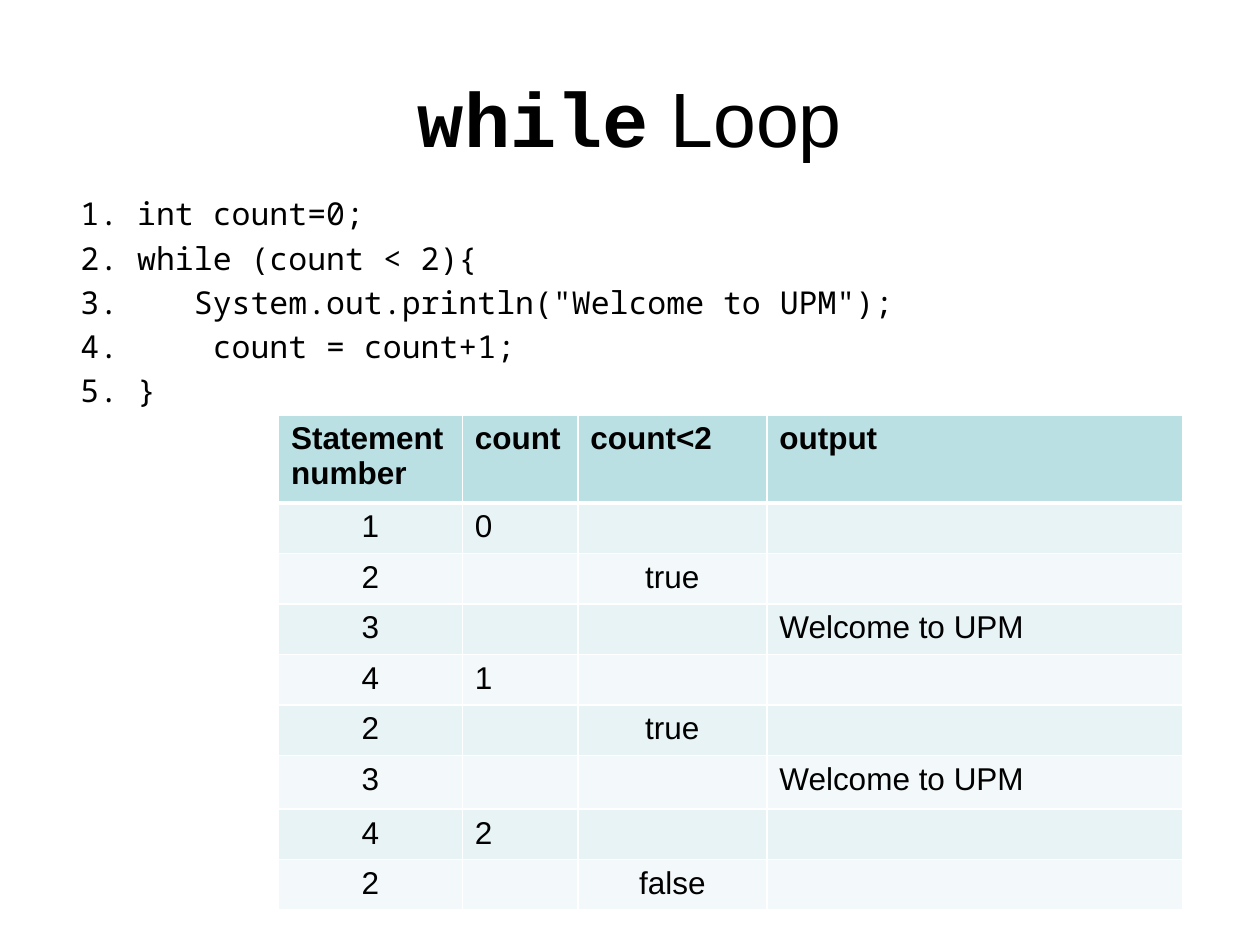
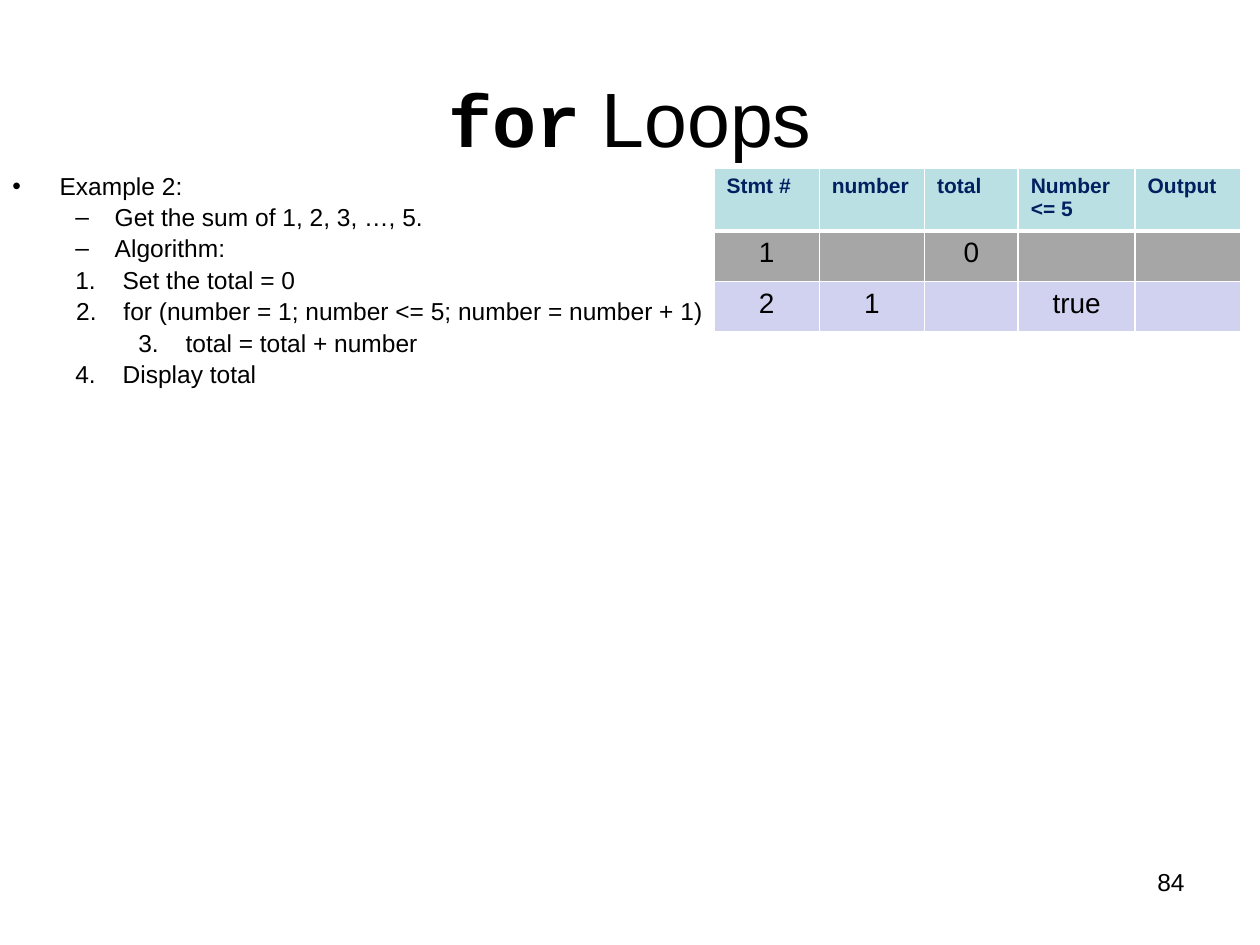
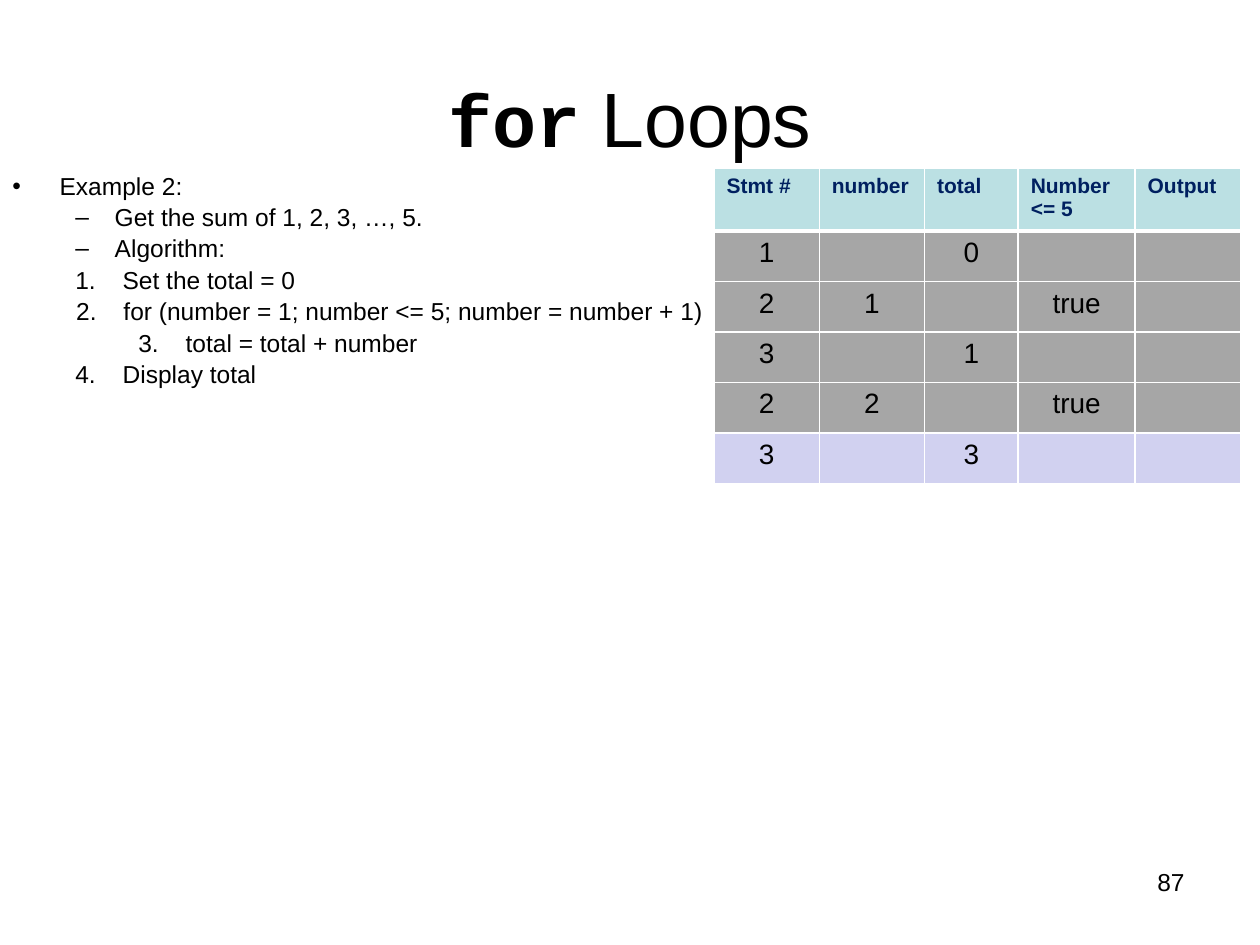
from dataclasses import dataclass

from lxml import etree
from pptx import Presentation
from pptx import util as u
from pptx.dml import color
from pptx.enum import text
from pptx.oxml import ns

Pt = u.Pt
LEFT, CENTER, RIGHT = text.PP_ALIGN.LEFT, text.PP_ALIGN.CENTER, text.PP_ALIGN.RIGHT


@dataclass(frozen=True)
class Theme:
    ink: str = "000000"
    navy: str = "002060"
    rule: str = "FFFFFF"
    header: str = "BBE0E3"
    bands: tuple = ("E7F3F4", "F3F9FA")
    done: str = "A6A6A6"
    current: str = "D1D1F0"
    sans: str = "Arial"
    keyword: str = "Courier New"
    mono: str = "Noto Sans Mono"
    title: int = 44
    keyword_small: int = 42
    code: int = 18
    body: int = 14
    trace: int = 16
    trace_head: int = 12


THEME = Theme()

TITLE_AREA = (36, 21.6, 648, 90)
CODE_AREA = (38.9, 108, 522, 162)
ALGORITHM_AREA = (0, 95.8, 446.4, 154.8)
PAGE_AREA = (516.2, 491.8, 167.8, 37.4)

WHILE_TITLE = [("while", THEME.title), (" Loop", THEME.title)]
FOR_TITLE = [("for", THEME.keyword_small), (" Loops", THEME.title)]

WHILE_CODE = [
    "1. int count=0;",
    "2. while (count < 2){",
    '3.    System.out.println("Welcome to UPM");',
    "4.     count = count+1;",
    "5. }",
]
WHILE_HEAD = ["Statement number", "count", "count<2", "output"]
WHILE_TRACE = [
    ["1", "0", "", ""],
    ["2", "", "true", ""],
    ["3", "", "", "Welcome to UPM"],
    ["4", "1", "", ""],
    ["2", "", "true", ""],
    ["3", "", "", "Welcome to UPM"],
    ["4", "2", "", ""],
    ["2", "", "false", ""],
]

ALGORITHM = [
    ("Example 2:", 0, 27, 27, "•"),
    ("Get the sum of 1, 2, 3, …, 5.", 1, 58.5, 22.5, "–"),
    ("Algorithm:", 1, 58.5, 22.5, "–"),
    ("Set the total = 0", 1, 63, 27, 1),
    ("for (number = 1; number <= 5; number = number + 1)", 2, 63.5, 27, 2),
    ("total = total + number", 2, 99, 27, 2),
    ("Display total", 1, 63, 27, 4),
]
FOR_HEAD = ["Stmt #", "number", "total", "Number <= 5", "Output"]
FOR_TRACE = [
    ["1", "", "0", "", ""],
    ["2", "1", "", "true", ""],
    ["3", "", "1", "", ""],
    ["2", "2", "", "true", ""],
    ["3", "", "3", "", ""],
]
FOR_SLIDES = [("84", 2), ("87", 5)]


def style(paragraph, size, font=THEME.sans, ink=THEME.ink, bold=False):
    for run in paragraph.runs:
        style_run(run, size, font, ink, bold)


def style_run(run, size, font, ink, bold):
    run.font.size = Pt(size)
    run.font.name = font
    run.font.bold = bold
    run.font.color.rgb = color.RGBColor.from_string(ink)


def add_frame(slide, area):
    frame = slide.shapes.add_textbox(*map(Pt, area)).text_frame
    frame.word_wrap = True
    return frame


def add_title(slide, parts):
    frame = add_frame(slide, TITLE_AREA)
    frame.vertical_anchor = text.MSO_ANCHOR.MIDDLE
    heading = frame.paragraphs[0]
    heading.alignment = CENTER
    for (words, size), font in zip(parts, (THEME.keyword, THEME.sans)):
        run = heading.add_run()
        run.text = words
        style_run(run, size, font, THEME.ink, font == THEME.keyword)


def add_page_number(slide, number):
    frame = add_frame(slide, PAGE_AREA)
    frame.text = number
    frame.paragraphs[0].alignment = RIGHT
    style(frame.paragraphs[0], THEME.body)


def add_lines(slide, area, lines, spacing, gap):
    frame = add_frame(slide, area)
    frame.text = "\n".join(lines)
    for index, line in enumerate(frame.paragraphs):
        line.line_spacing = spacing
        line.space_before = Pt(gap if index else 0)
    return frame.paragraphs


def add_code(slide):
    for line in add_lines(slide, CODE_AREA, WHILE_CODE, Pt(21.1), 4.2):
        style(line, THEME.code, THEME.mono)


def add_algorithm(slide):
    steps = add_lines(slide, ALGORITHM_AREA, [step[0] for step in ALGORITHM], 0.9, 2.8)
    for step, (_, level, margin, hang, marker) in zip(steps, ALGORITHM):
        step.level = level
        properties = step._p.get_or_add_pPr()
        properties.set("marL", str(Pt(margin)))
        properties.set("indent", str(-Pt(hang)))
        etree.SubElement(properties, ns.qn("a:buFont"), typeface=THEME.sans)
        if isinstance(marker, int):
            etree.SubElement(properties, ns.qn("a:buAutoNum"),
                             type="arabicPeriod", startAt=str(marker))
        else:
            etree.SubElement(properties, ns.qn("a:buChar"), char=marker)
        style(step, THEME.body)


def add_borders(cell, row):
    properties = cell._tc.get_or_add_tcPr()
    thick_side = {0: "lnB", 1: "lnT"}.get(row)
    for side in ("lnL", "lnR", "lnT", "lnB"):
        width = Pt(3 if side == thick_side else 1)
        line = etree.SubElement(properties, ns.qn(f"a:{side}"), w=str(width))
        fill = etree.SubElement(line, ns.qn("a:solidFill"))
        etree.SubElement(fill, ns.qn("a:srgbClr"), val=THEME.rule)


def add_trace(slide, corner, widths, heights, head, rows, fills, aligns, head_style, row_style):
    records = [head] + rows
    area = (*corner, sum(widths), sum(heights))
    table = slide.shapes.add_table(len(records), len(head), *map(Pt, area)).table
    for column, width in zip(table.columns, widths):
        column.width = Pt(width)
    for row, height in zip(table.rows, heights):
        row.height = Pt(height)
    for r, (record, fill) in enumerate(zip(records, [THEME.header] + fills)):
        for c, value in enumerate(record):
            cell = table.cell(r, c)
            add_borders(cell, r)
            cell.fill.solid()
            cell.fill.fore_color.rgb = color.RGBColor.from_string(fill)
            if value:
                cell.text = value
                entry = cell.text_frame.paragraphs[0]
                entry.alignment = aligns[c] if r else LEFT
                style(entry, **(row_style if r else head_style))


def add_while_trace(slide):
    heights = [50.2] + [28.7] * len(WHILE_TRACE)
    heights[6] = 30.8
    fills = [THEME.bands[i % 2] for i in range(len(WHILE_TRACE))]
    add_trace(slide, (159.2, 237), (105, 66, 108, 237.8), heights, WHILE_HEAD, WHILE_TRACE,
              fills, (CENTER, LEFT, CENTER, LEFT),
              dict(size=THEME.code, bold=True), dict(size=THEME.code))


def add_for_trace(slide, step_count):
    fills = [THEME.done] * (step_count - 1) + [THEME.current]
    add_trace(slide, (408, 96), (60.2, 60.2, 53.5, 66.8, 60.2), [34.6] + [28.7] * step_count,
              FOR_HEAD, FOR_TRACE[:step_count], fills, [CENTER] * len(FOR_HEAD),
              dict(size=THEME.trace_head, ink=THEME.navy, bold=True), dict(size=THEME.trace))


def add_slide(deck, title):
    slide = deck.slides.add_slide(deck.slide_layouts[6])
    add_title(slide, title)
    return slide


def main():
    deck = Presentation()
    deck.slide_width, deck.slide_height = Pt(720), Pt(540)

    slide = add_slide(deck, WHILE_TITLE)
    add_code(slide)
    add_while_trace(slide)

    for page, step_count in FOR_SLIDES:
        slide = add_slide(deck, FOR_TITLE)
        add_algorithm(slide)
        add_page_number(slide, page)
        add_for_trace(slide, step_count)

    deck.save("out.pptx")


if __name__ == "__main__":
    main()
